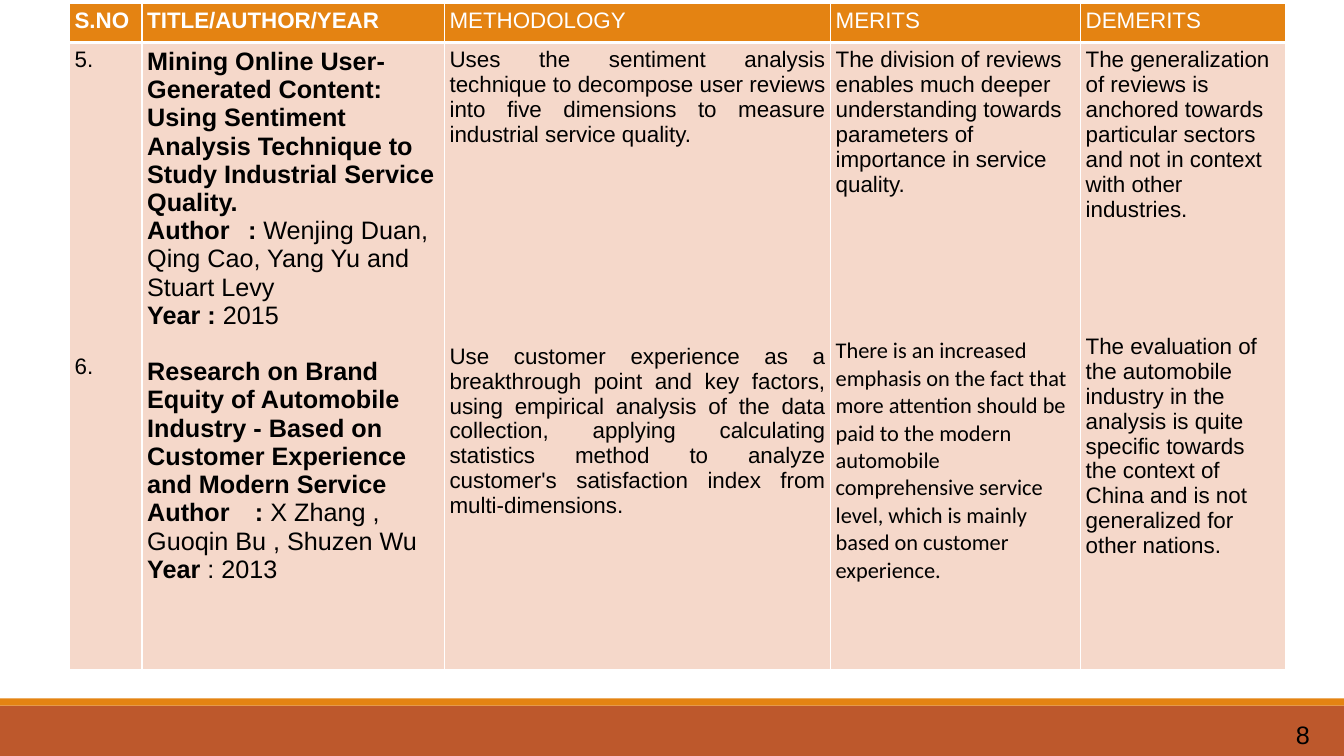
from pptx import Presentation
from pptx.dml.color import RGBColor
from pptx.enum.shapes import MSO_SHAPE
from pptx.enum.text import PP_ALIGN
from pptx.oxml import parse_xml
from pptx.oxml.ns import nsdecls
from pptx.util import Cm, Pt

ORANGE = RGBColor(0xE4, 0x83, 0x12)
RUST = RGBColor(0xBD, 0x58, 0x2C)
PEACH = RGBColor(0xF5, 0xD8, 0xCA)
WHITE = RGBColor(0xFF, 0xFF, 0xFF)
BLACK = RGBColor(0, 0, 0)

SLIDE_W, SLIDE_H = 33.87, 19.05
COL_WIDTHS = [1.83, 7.62, 9.73, 6.3, 5.18]
ROW_HEIGHTS = [0.99, 15.8]
INSET = 0.13
THIN, THICK = 0.96, 3
GAP_LINE = 20.1  # height in points of one 18 pt line

HEADERS = ["S.NO", "TITLE/AUTHOR/YEAR", "METHODOLOGY", "MERITS", "DEMERITS"]
BOLD_HEADERS = 2

# Each paragraph: gap above in lines, then runs of (text, bold)
TITLES = [
    (0, [("Mining Online User-Generated Content: Using Sentiment Analysis "
          "Technique to Study Industrial Service Quality.", True)]),
    (0, [("Author\t: ", True),
         ("Wenjing Duan, Qing Cao, Yang Yu and Stuart Levy", False)]),
    (0, [("Year : ", True), ("2015", False)]),
    (1, [("Research on Brand Equity of Automobile Industry - Based on "
          "Customer Experience and Modern Service", True)]),
    (0, [("Author\t :", True), (" X Zhang , Guoqin Bu , Shuzen Wu", False)]),
    (0, [("Year", True), (" : 2013", False)]),
]
NUMBERS = [(0, [("5.", False)]), (10, [("6.", False)])]
METHODS = [
    (0, [("Uses the sentiment analysis technique to decompose user reviews "
          "into five dimensions to measure industrial service quality. ", False)]),
    (7, [("Use customer experience as a breakthrough point and key factors, "
          "using empirical analysis of the data collection, applying "
          "calculating statistics method to analyze customer's satisfaction "
          "index from multi-dimensions. ", False)]),
]
MERITS = [
    (0, [("The division of reviews enables much deeper understanding towards "
          "parameters of importance in service quality.", False)]),
    (5, [("There is an increased emphasis on the fact that more attention "
          "should be paid to the modern automobile comprehensive service "
          "level, which is mainly based on customer experience.", False)]),
]
DEMERITS = [
    (0, [("The generalization of reviews is anchored towards particular "
          "sectors and not in context with other industries.", False)]),
    (4, [("The evaluation of the automobile industry in the analysis is quite "
          "specific towards the context of China and is not generalized for "
          "other nations.", False)]),
]


def set_font(p, size, color, name="Arial"):
    p.font.size = Pt(size)
    p.font.name = name
    p.font.color.rgb = color


def style_cell(cell, fill, top, bottom):
    """Set margins, fill and white borders; top and bottom are widths in points."""
    cell.margin_left = cell.margin_right = Cm(INSET)
    cell.margin_top = cell.margin_bottom = Cm(INSET)
    cell.fill.solid()
    cell.fill.fore_color.rgb = fill
    tcPr = cell.fill._xPr
    borders = [("lnL", THIN), ("lnR", THIN), ("lnT", top), ("lnB", bottom)]
    for i, (tag, width) in enumerate(borders):
        tcPr.insert(i, parse_xml(
            f'<a:{tag} {nsdecls("a")} w="{Pt(width)}"><a:solidFill>'
            f'<a:srgbClr val="{WHITE}"/></a:solidFill></a:{tag}>'))


def fill_cell(cell, paragraphs, color, size=16, align=PP_ALIGN.LEFT, fonts=()):
    """Write the paragraphs; fonts maps a paragraph's index to its typeface."""
    tf = cell.text_frame
    fonts = dict(fonts)
    for i, (gap, runs) in enumerate(paragraphs):
        p = tf.paragraphs[0] if i == 0 else tf.add_paragraph()
        p.alignment = align
        if gap:
            p.space_before = Pt(gap * GAP_LINE)
        set_font(p, size, color, fonts.get(i, "Arial"))
        for text, bold in runs:
            r = p.add_run()
            r.text = text
            r.font.bold = bold


def add_review_table(s, left, top):
    table = s.shapes.add_table(
        len(ROW_HEIGHTS), len(COL_WIDTHS), Cm(left), Cm(top),
        Cm(sum(COL_WIDTHS)), Cm(sum(ROW_HEIGHTS))).table
    table.horz_banding = False
    for column, width in zip(table.columns, COL_WIDTHS):
        column.width = Cm(width)
    for row, height in zip(table.rows, ROW_HEIGHTS):
        row.height = Cm(height)

    for c, header in enumerate(HEADERS):
        style_cell(table.cell(0, c), ORANGE, THIN, THICK)
        style_cell(table.cell(1, c), PEACH, THICK, THIN)
        fill_cell(table.cell(0, c), [(0, [(header, c < BOLD_HEADERS)])], WHITE)

    body = [
        (NUMBERS, {}),
        (TITLES, {"size": 18}),
        (METHODS, {"align": PP_ALIGN.JUSTIFY}),
        (MERITS, {"fonts": {1: "Calibri"}}),
        (DEMERITS, {}),
    ]
    for c, (paragraphs, options) in enumerate(body):
        fill_cell(table.cell(1, c), paragraphs, BLACK, **options)


def add_footer(s, top, number):
    """Place the two colour bars and the page number, from top to the slide's end."""
    stripe = 0.18
    bars = [(top + stripe, SLIDE_H - top - stripe, RUST), (top, stripe, ORANGE)]
    for y, height, color in bars:
        bar = s.shapes.add_shape(MSO_SHAPE.RECTANGLE, 0, Cm(y), Cm(SLIDE_W), Cm(height))
        bar.shadow.inherit = False
        bar.fill.solid()
        bar.fill.fore_color.rgb = color
        bar.line.fill.background()
    tf = s.shapes.add_textbox(Cm(32.41), Cm(top + 0.41), Cm(1.4), Cm(1)).text_frame
    tf.word_wrap = True
    p = tf.paragraphs[0]
    p.text = number
    set_font(p, 18, BLACK)


def main():
    prs = Presentation()
    prs.slide_width, prs.slide_height = Cm(SLIDE_W), Cm(SLIDE_H)
    s = prs.slides.add_slide(prs.slide_layouts[6])
    add_footer(s, 17.6, "8")
    add_review_table(s, 1.75, 0.08)
    prs.save("out.pptx")


if __name__ == "__main__":
    main()
